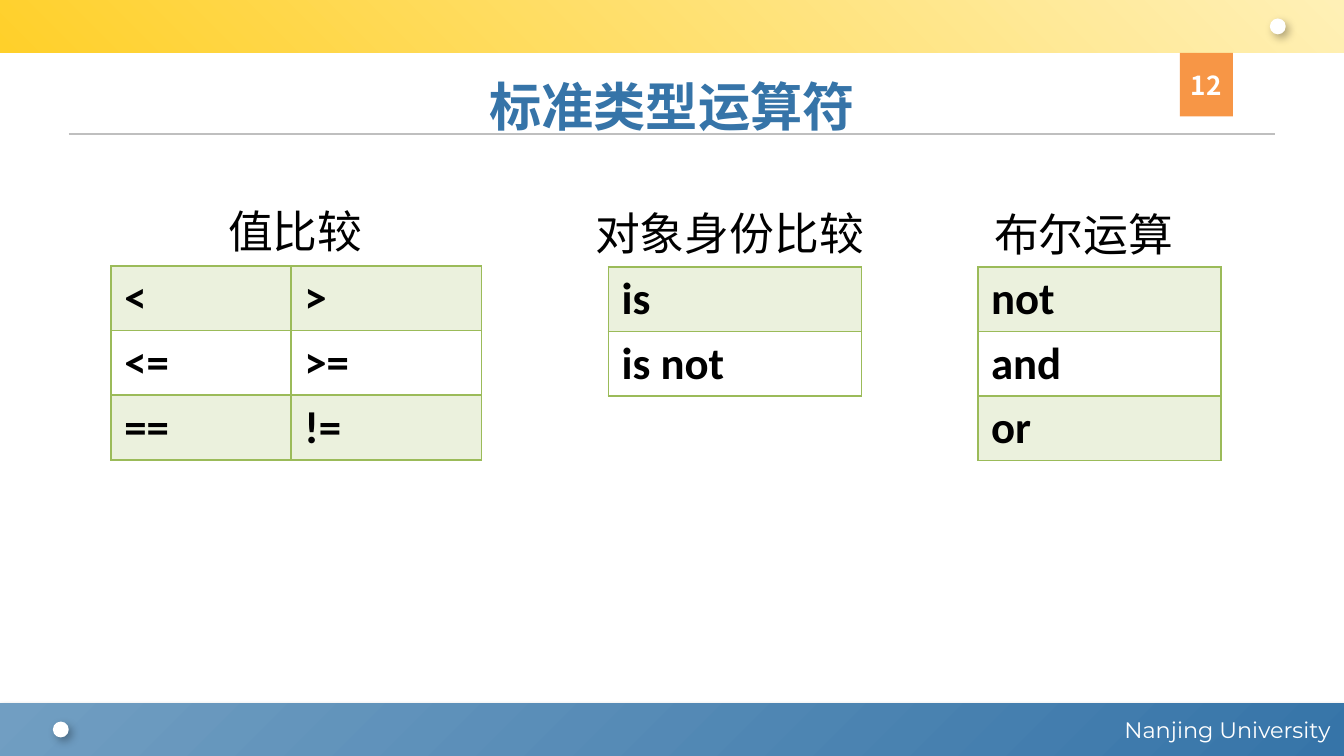
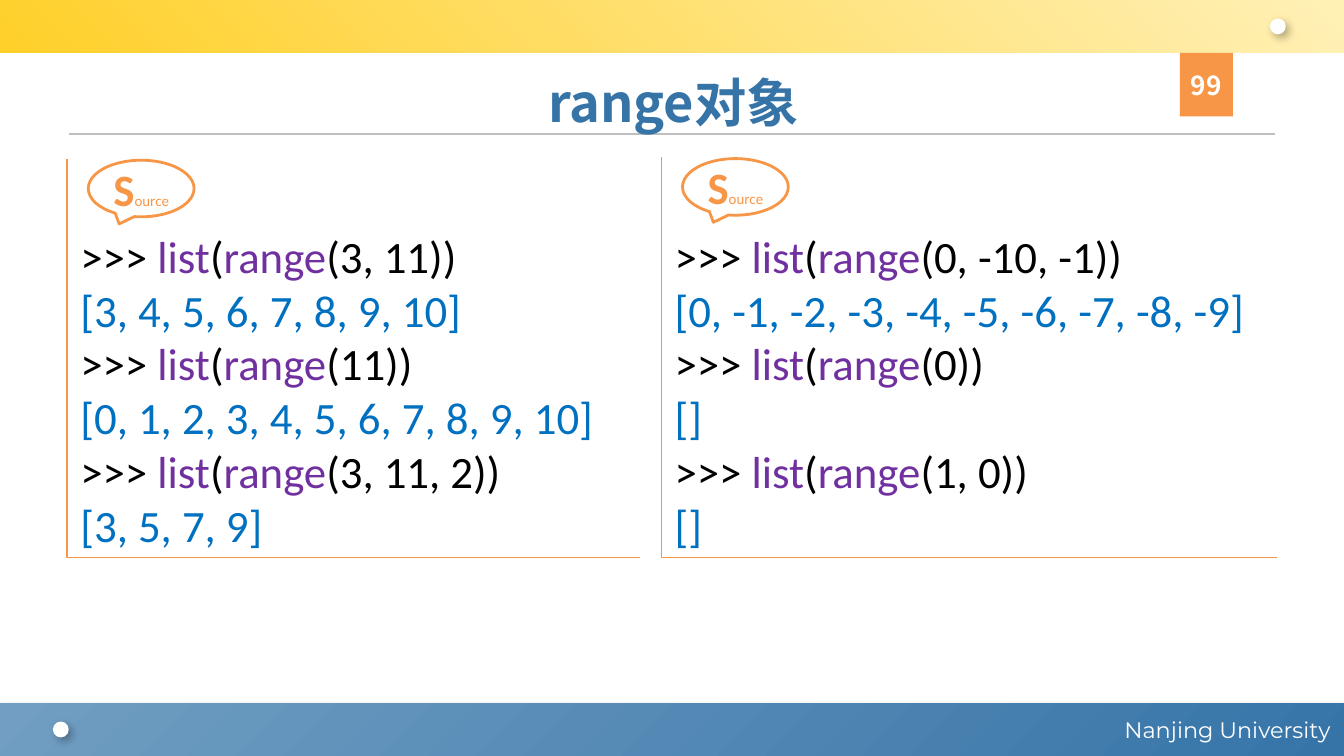
from lxml.etree import SubElement
from pptx import Presentation
from pptx.dml.color import RGBColor
from pptx.enum.shapes import MSO_CONNECTOR, MSO_SHAPE
from pptx.enum.text import MSO_ANCHOR, PP_ALIGN
from pptx.oxml.ns import qn
from pptx.util import Cm, Pt

WHITE = RGBColor(0xFF, 0xFF, 0xFF)
BLACK = RGBColor(0, 0, 0)
BLUE = RGBColor(0x36, 0x74, 0xA8)
PALE_BLUE = RGBColor(0x71, 0x9E, 0xC2)
YELLOW = RGBColor(0xFF, 0xD0, 0x2A)
PALE_YELLOW = RGBColor(0xFF, 0xF0, 0xB6)
GRAY = RGBColor(0xBF, 0xBF, 0xBF)
ORANGE = RGBColor(0xF7, 0x96, 0x46)
GREEN = RGBColor(0x9B, 0xBB, 0x59)
PURPLE = RGBColor(0x70, 0x30, 0xA0)
RESULT_BLUE = RGBColor(0x00, 0x70, 0xC0)

LATIN = "Calibri"
CHINESE = "Noto Sans CJK SC"
BRAND = "Montserrat"
WIDTH, HEIGHT, BAND = 25.4, 14.29, 1.0


class Deck:
    def __init__(self):
        self.presentation = Presentation()
        self.presentation.slide_width = Cm(WIDTH)
        self.presentation.slide_height = Cm(HEIGHT)
        self.slide = None

    def start(self, title, number, title_left, title_top):
        self.slide = self.presentation.slides.add_slide(self.presentation.slide_layouts[6])
        footer = self.band(HEIGHT - BAND, PALE_BLUE, BLUE, 315)
        self.shadow(footer, 38, 3.1, 1.6, 90)
        self.label(footer, "Nanjing University", 12, BRAND, WHITE, PP_ALIGN.RIGHT)
        self.band(0, YELLOW, PALE_YELLOW, 45)
        for left, top in ((24, 0.35), (1, 13.64)):
            dot = self.shape(MSO_SHAPE.OVAL, left, top, 0.3, 0.3, WHITE)
            self.shadow(dot, 30, 4.5, 2.6, 53)
        self.rule(1.3, 24.1, 2.54)
        self.text(title, title_left, title_top, 22.86, 1.09, 28, BLUE,
                  PP_ALIGN.CENTER, True, MSO_ANCHOR.MIDDLE)
        badge = self.shape(MSO_SHAPE.RECTANGLE, 22.3, BAND, 1, 1.2, ORANGE)
        self.trim_sides(badge)
        self.label(badge, number, 14, CHINESE, WHITE, PP_ALIGN.CENTER, True)

    def shape(self, kind, left, top, width, height, fill=None):
        shape = self.slide.shapes.add_shape(kind, Cm(left), Cm(top), Cm(width), Cm(height))
        shape.shadow.inherit = False
        shape.line.fill.background()
        if fill is not None:
            shape.fill.solid()
            shape.fill.fore_color.rgb = fill
        return shape

    def band(self, top, start, end, angle):
        band = self.shape(MSO_SHAPE.RECTANGLE, 0, top, WIDTH, BAND)
        band.fill.gradient()
        band.fill.gradient_angle = angle
        for stop, color in zip(band.fill.gradient_stops, (start, end)):
            stop.color.rgb = color
        return band

    def shadow(self, shape, opacity, blur, distance, angle):
        effects = shape._element.spPr.find(qn("a:effectLst"))
        outer = SubElement(effects, qn("a:outerShdw"), blurRad=str(Pt(blur)),
                           dist=str(Pt(distance)), dir=str(angle * 60000), rotWithShape="0")
        color = SubElement(outer, qn("a:srgbClr"), val=str(BLACK))
        SubElement(color, qn("a:alpha"), val=str(opacity * 1000))

    def rule(self, left, right, top):
        rule = self.slide.shapes.add_connector(
            MSO_CONNECTOR.STRAIGHT, Cm(left), Cm(top), Cm(right), Cm(top))
        rule.line.color.rgb = GRAY
        rule.line.width = Pt(1)
        SubElement(rule._element.spPr, qn("a:effectLst"))

    def trim_sides(self, shape):
        shape.text_frame.margin_left = shape.text_frame.margin_right = 0

    def font(self, font, size, face, color, bold=False):
        font.size = Pt(size)
        font.name = face
        font.bold = bold
        font.color.rgb = color
        SubElement(font._element, qn("a:ea"), typeface=face)

    def label(self, holder, words, size, face, color, align=PP_ALIGN.LEFT,
              bold=False, anchor=MSO_ANCHOR.MIDDLE):
        frame = holder.text_frame
        frame.vertical_anchor = anchor
        paragraph = frame.paragraphs[0]
        paragraph.text = words
        paragraph.alignment = align
        self.font(paragraph.font, size, face, color, bold)

    def text(self, words, left, top, width, height, size, color,
             align=PP_ALIGN.LEFT, bold=False, anchor=MSO_ANCHOR.TOP, wrap=True):
        box = self.slide.shapes.add_textbox(Cm(left), Cm(top), Cm(width), Cm(height))
        box.text_frame.word_wrap = wrap
        self.label(box, words, size, CHINESE, color, align, bold, anchor)

    def borders(self, cell):
        properties = cell._tc.get_or_add_tcPr()
        for side in ("lnL", "lnR", "lnT", "lnB"):
            line = SubElement(properties, qn(f"a:{side}"), w=str(Pt(1)))
            fill = SubElement(line, qn("a:solidFill"))
            SubElement(fill, qn("a:srgbClr"), val=str(GREEN))

    def table(self, rows, left, top, widths, row_height):
        table = self.slide.shapes.add_table(
            len(rows), len(widths), Cm(left), Cm(top),
            Cm(sum(widths)), Cm(row_height * len(rows))).table
        table.first_row = table.horz_banding = False
        for column, width in zip(table.columns, widths):
            column.width = Cm(width)
        for row_index, operators in enumerate(rows):
            table.rows[row_index].height = Cm(row_height)
            for column_index, operator in enumerate(operators):
                cell = table.cell(row_index, column_index)
                cell.margin_left = cell.margin_right = Cm(0.25)
                cell.margin_top = cell.margin_bottom = Cm(0.1)
                self.borders(cell)
                if row_index % 2:
                    cell.fill.background()
                else:
                    cell.fill.solid()
                    cell.fill.fore_color.rgb = GREEN
                    tint = cell._tc.tcPr.find(f"{qn('a:solidFill')}/{qn('a:srgbClr')}")
                    SubElement(tint, qn("a:alpha"), val="20000")
                self.label(cell, operator, 24, LATIN, BLACK, bold=True,
                           anchor=MSO_ANCHOR.TOP)

    def runs(self, paragraph, parts):
        for words, color in parts:
            run = paragraph.add_run()
            run.text = words
            run.font.color.rgb = color

    def code(self, examples, left, top, width, bottom):
        builder = self.slide.shapes.build_freeform(Cm(left), Cm(top))
        builder.add_line_segments(
            [(Cm(left), Cm(bottom)), (Cm(left + width), Cm(bottom))], close=False)
        frame = builder.convert_to_shape()
        frame.shadow.inherit = False
        frame.fill.background()
        frame.line.color.rgb = ORANGE
        frame.line.width = Pt(0.75)
        listing = frame.text_frame
        listing.word_wrap = True
        listing.vertical_anchor = MSO_ANCHOR.BOTTOM
        lines = []
        for arguments, result in examples:
            lines.append(((">>> ", BLACK), ("list", PURPLE), ("(", BLACK),
                          ("range", PURPLE), (f"({arguments}))", BLACK)))
            lines.append(((result, RESULT_BLUE),))
        for index, parts in enumerate(lines):
            paragraph = listing.add_paragraph() if index else listing.paragraphs[0]
            paragraph.alignment = PP_ALIGN.LEFT
            paragraph.font.size = Pt(24)
            paragraph.font.name = LATIN
            self.runs(paragraph, parts)
        self.callout(left + 0.4, top + 0.03)

    def callout(self, left, top):
        callout = self.shape(MSO_SHAPE.OVAL_CALLOUT, left, top, 2, 1.07, WHITE)
        callout.line.color.rgb = ORANGE
        callout.line.width = Pt(1.5)
        self.trim_sides(callout)
        callout.text_frame.vertical_anchor = MSO_ANCHOR.MIDDLE
        source = callout.text_frame.paragraphs[0]
        source.alignment = PP_ALIGN.CENTER
        source.font.name = LATIN
        self.runs(source, (("S", ORANGE), ("ource", ORANGE)))
        for run, size, bold in zip(source.runs, (24, 8), (True, False)):
            run.font.size = Pt(size)
            run.font.bold = bold


def operators_slide(deck):
    deck.start("标准类型运算符", "12", 1.27, 1.45)
    groups = (
        ("值比较", 4.06, 3.73, 3.07,
         (("<", ">"), ("<=", ">="), ("==", "!=")), 2.1, 5.03, (3.4, 3.6), 1.22),
        ("对象身份比较", 11, 3.76, 5.64,
         (("is",), ("is not",)), 11.5, 5.05, (4.78,), 1.21),
        ("布尔运算", 18.54, 3.78, 3.94,
         (("not",), ("and",), ("or",)), 18.48, 5.05, (4.6,), 1.21),
    )
    for heading, left, top, width, rows, table_left, table_top, widths, row_height in groups:
        deck.table(rows, table_left, table_top, widths, row_height)
        deck.text(heading, left, top, width, 1.27, 24, BLACK, wrap=False)


def range_slide(deck):
    deck.start("range对象", "99", 1.3, 1.37)
    deck.code((
        ("3, 11", "[3, 4, 5, 6, 7, 8, 9, 10]"),
        ("11", "[0, 1, 2, 3, 4, 5, 6, 7, 8, 9, 10]"),
        ("3, 11, 2", "[3, 5, 7, 9]"),
    ), 1.27, 3, 10.82, 10.54)
    deck.code((
        ("0, -10, -1", "[0, -1, -2, -3, -4, -5, -6, -7, -8, -9]"),
        ("0", "[]"),
        ("1, 0", "[]"),
    ), 12.5, 2.97, 11.63, 10.54)


def main():
    deck = Deck()
    operators_slide(deck)
    range_slide(deck)
    deck.presentation.save("out.pptx")


if __name__ == "__main__":
    main()
